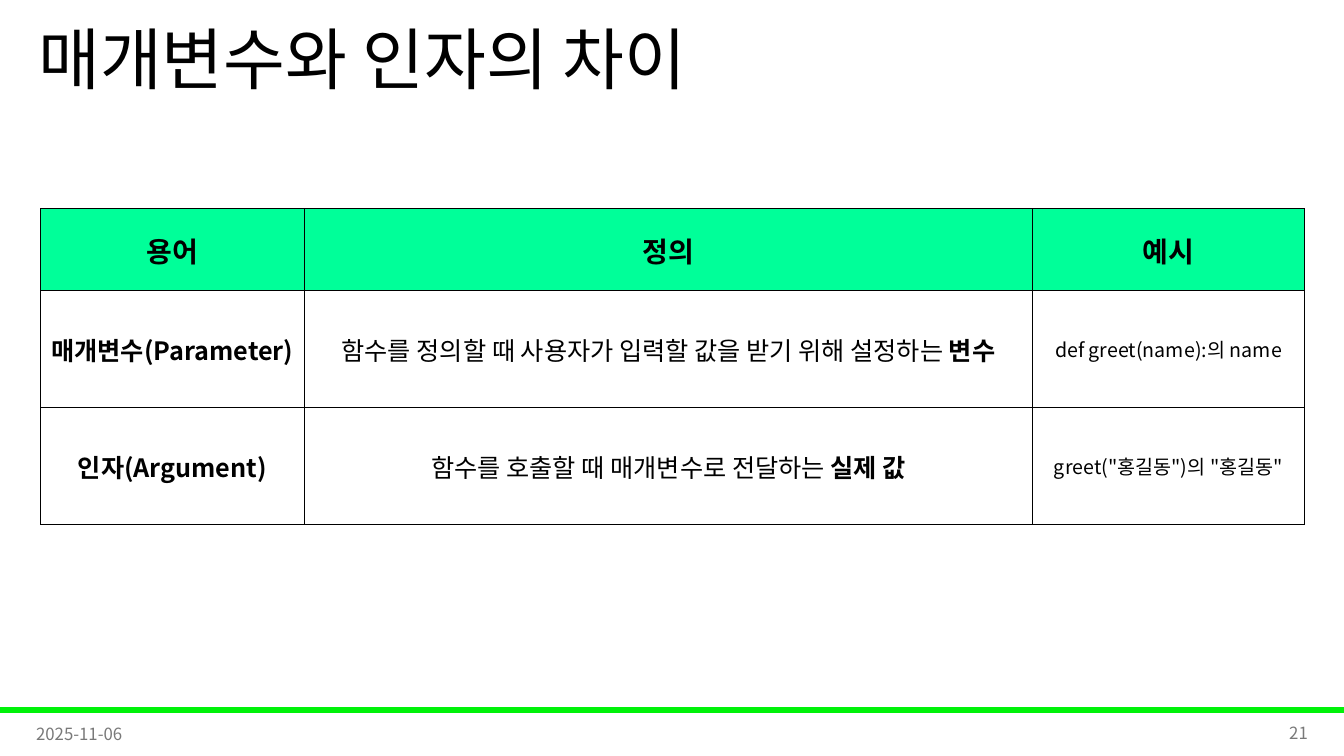
import pptx
import pptx.util
from lxml import etree
from pptx.dml.color import RGBColor
from pptx.enum.shapes import MSO_SHAPE
from pptx.enum.text import MSO_ANCHOR, PP_ALIGN
from pptx.oxml.ns import qn
from pptx.util import Inches, Pt

BLACK = RGBColor(0x00, 0x00, 0x00)
GRAY = RGBColor(0x79, 0x79, 0x79)
BAR_GREEN = RGBColor(0x00, 0xF2, 0x09)
HEADER_GREEN = RGBColor(0x00, 0xFF, 0x99)

COLUMN_WIDTHS = [2.62, 7.22, 2.7]
ROW_HEIGHTS = [0.81, 1.16, 1.16]
# Each cell is a list of (text, bold) runs.
TERMS = [
    [[("용어", True)], [("정의", True)], [("예시", True)]],
    [
        [("매개변수(Parameter)", True)],
        [("함수를 정의할 때 사용자가 입력할 값을 받기 위해 설정하는 ", False), ("변수", True)],
        [("def greet(name):의 name", False)],
    ],
    [
        [("인자(Argument)", True)],
        [("함수를 호출할 때 매개변수로 전달하는 ", False), ("실제 값", True)],
        [('greet("홍길동")의 "홍길동"', False)],
    ],
]


class SlideBuilder:
    font_name = "Noto Sans CJK KR"

    def __init__(self, slide):
        self.slide = slide

    def style(self, paragraph, size, color, align=PP_ALIGN.LEFT):
        paragraph.alignment = align
        font = paragraph.font
        font.size = Pt(size)
        font.color.rgb = color
        font.name = self.font_name
        properties = paragraph._p.get_or_add_pPr().find(qn("a:defRPr"))
        etree.SubElement(properties, qn("a:ea"), typeface=self.font_name)

    def title(self, text, left, top, width, height):
        title = self.slide.shapes.title
        title.left, title.top = Inches(left), Inches(top)
        title.width, title.height = Inches(width), Inches(height)
        frame = title.text_frame
        frame.text = text
        frame.vertical_anchor = MSO_ANCHOR.MIDDLE
        frame.paragraphs[0].line_spacing = 0.9
        self.style(frame.paragraphs[0], 48, BLACK)

    def bar(self, left, top, width, height):
        bar = self.slide.shapes.add_shape(
            MSO_SHAPE.RECTANGLE, Inches(left), Inches(top), Inches(width), Inches(height))
        bar.shadow.inherit = False
        bar.fill.solid()
        bar.fill.fore_color.rgb = BAR_GREEN
        bar.line.color.rgb = BAR_GREEN
        bar.line.width = Pt(1)

    def footer(self, text, left, top, align):
        box = self.slide.shapes.add_textbox(
            Inches(left), Inches(top), Inches(3), Inches(0.4))
        frame = box.text_frame
        frame.word_wrap = True
        frame.vertical_anchor = MSO_ANCHOR.MIDDLE
        frame.text = text
        self.style(frame.paragraphs[0], 12, GRAY, align)

    def table(self, rows, left, top, widths, heights):
        table = self.slide.shapes.add_table(
            len(rows), len(widths), Inches(left), Inches(top),
            Inches(sum(widths)), Inches(sum(heights))).table
        table.first_row = table.horz_banding = False
        for column, width in zip(table.columns, widths):
            column.width = Inches(width)
        for row, height in zip(table.rows, heights):
            row.height = Inches(height)
        for r, row in enumerate(rows):
            for c, runs in enumerate(row):
                size = 20 if r == 0 else 14 if c == 2 else 18
                self.cell(table.cell(r, c), runs, size, is_header=r == 0)

    def cell(self, cell, runs, size, is_header):
        cell.margin_left = cell.margin_right = cell.margin_top = Inches(0.01)
        cell.margin_bottom = 0
        cell.vertical_anchor = MSO_ANCHOR.MIDDLE
        if is_header:
            cell.fill.solid()
            cell.fill.fore_color.rgb = HEADER_GREEN
        else:
            cell.fill.background()
        self.borders(cell)
        paragraph = cell.text_frame.paragraphs[0]
        self.style(paragraph, size, BLACK, PP_ALIGN.CENTER)
        if len(runs) == 1:
            paragraph.font.bold = runs[0][1]
        for text, bold in runs:
            run = paragraph.add_run()
            run.text = text
            if len(runs) > 1:
                run.font.bold = bold

    def borders(self, cell):
        properties = cell._tc.get_or_add_tcPr()
        for position, side in enumerate(("lnL", "lnR", "lnT", "lnB")):
            line = etree.Element(qn(f"a:{side}"), w=str(Pt(0.5)))
            fill = etree.SubElement(line, qn("a:solidFill"))
            etree.SubElement(fill, qn("a:srgbClr"), val=str(BLACK))
            properties.insert(position, line)


def main():
    deck = pptx.Presentation()
    deck.slide_width, deck.slide_height = Inches(13.33), Inches(7.5)
    title_only = deck.slide_layouts[5]
    builder = SlideBuilder(deck.slides.add_slide(title_only))
    builder.bar(0, 7.02, 13.33, 0.05)
    builder.title("매개변수와 인자의 차이", 0.28, 0, 11.5, 1.25)
    builder.footer("2025-11-06", 0.26, 7.08, PP_ALIGN.LEFT)
    builder.footer("21", 10.07, 7.07, PP_ALIGN.RIGHT)
    builder.table(TERMS, 0.4, 2.07, COLUMN_WIDTHS, ROW_HEIGHTS)
    deck.save("out.pptx")


if __name__ == "__main__":
    main()
